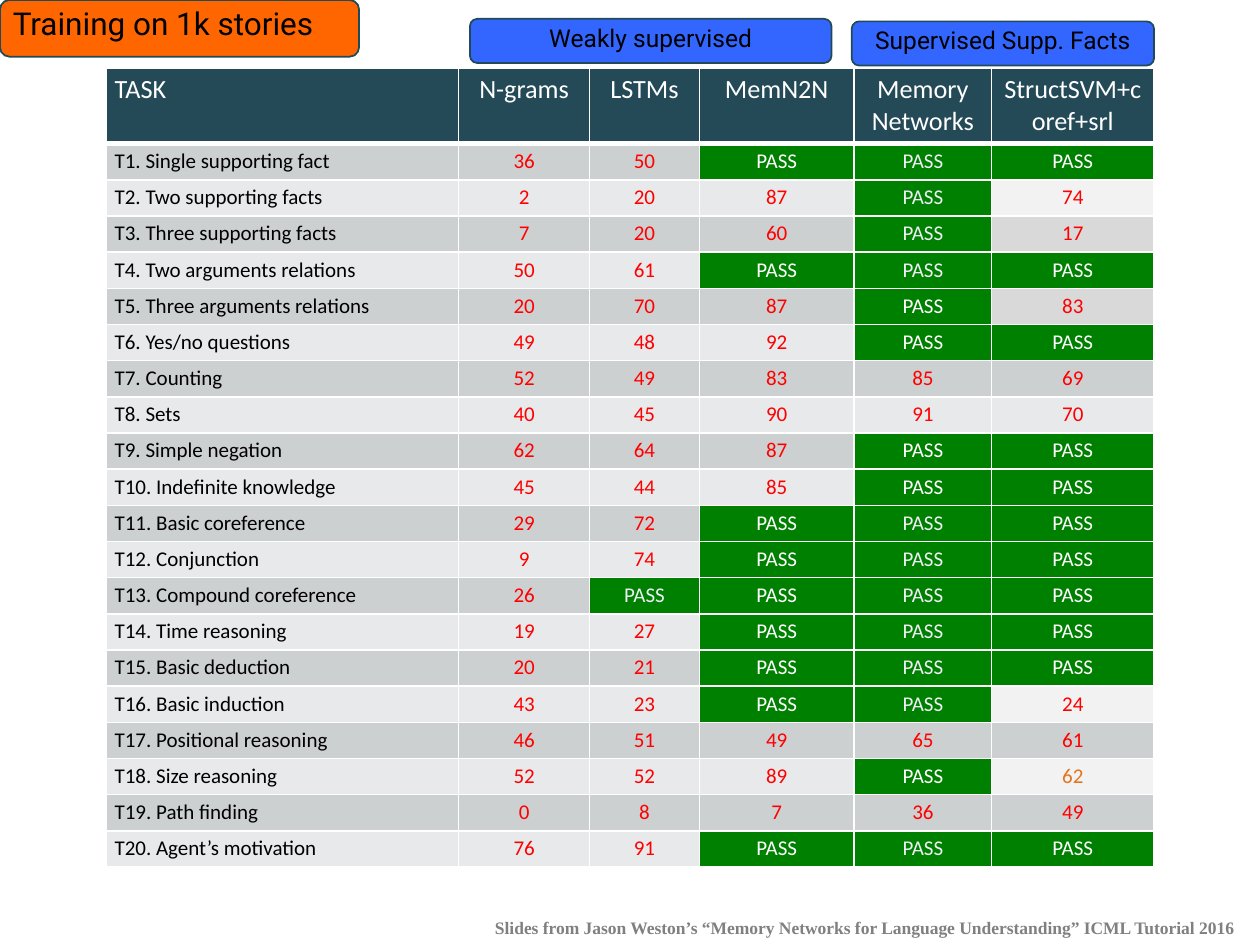
from lxml.etree import SubElement
from pptx import Presentation
from pptx.dml.color import RGBColor
from pptx.enum.shapes import MSO_SHAPE
from pptx.enum.text import PP_ALIGN
from pptx.oxml import parse_xml
from pptx.oxml.ns import nsdecls, qn
from pptx.util import Inches, Pt

HUES = {
    "head": "244A58", "odd": "CDD0D1", "even": "E8E9EA", "pass": "008000",
    "odd grey": "D9D9D9", "even grey": "F2F2F2", "white": "FFFFFF",
    "soft": "EDEFF4", "black": "000000", "red": "FF0000", "amber": "E2751D",
    "blue": "3366FF", "orange": "FF6600", "edge": "224957", "note": "808080",
}
HUES = {name: RGBColor.from_string(code) for name, code in HUES.items()}
WIDE, HIGH = Inches(10), Inches(7.5)

deck = Presentation()
deck.slide_width, deck.slide_height = WIDE, HIGH
slide = deck.slides.add_slide(deck.slide_layouts[6])


def area(left, top, width, height):
    """Turn percentages of the slide into lengths."""
    return [int(side * part / 100) for side, part in
            zip((WIDE, HIGH, WIDE, HIGH), (left, top, width, height))]


def write(frame, text, hue, align=PP_ALIGN.LEFT, **font):
    para = frame.paragraphs[0]
    para.alignment = align
    run = para.add_run()
    run.text = text
    run.font.color.rgb = HUES[hue]
    for key, value in font.items():
        setattr(run.font, key, value)
    return para


# Table of scores
P = "PASS"
heads = ["TASK", "N-grams", "LSTMs", "MemN2N", "Memory Networks", "StructSVM+coref+srl"]
tasks = [
    ("Single supporting fact", 36, 50, P, P, P),
    ("Two supporting facts", 2, 20, 87, P, 74),
    ("Three supporting facts", 7, 20, 60, P, 17),
    ("Two arguments relations", 50, 61, P, P, P),
    ("Three arguments relations", 20, 70, 87, P, 83),
    ("Yes/no questions", 49, 48, 92, P, P),
    ("Counting", 52, 49, 83, 85, 69),
    ("Sets", 40, 45, 90, 91, 70),
    ("Simple negation", 62, 64, 87, P, P),
    ("Indefinite knowledge", 45, 44, 85, P, P),
    ("Basic coreference", 29, 72, P, P, P),
    ("Conjunction", 9, 74, P, P, P),
    ("Compound coreference", 26, P, P, P, P),
    ("Time reasoning", 19, 27, P, P, P),
    ("Basic deduction", 20, 21, P, P, P),
    ("Basic induction", 43, 23, P, P, 24),
    ("Positional reasoning", 46, 51, 49, 65, 61),
    ("Size reasoning", 52, 52, 89, P, 62),
    ("Path finding", 0, 8, 7, 36, 49),
    ("Agent’s motivation", 76, 91, P, P, P),
]
rows = [heads] + [(f"T{num}. {name}", *marks) for num, (name, *marks) in enumerate(tasks, 1)]
spans = [28, 10.4, 8.7, 12.3, 10.9, 12.9]
tall, step = 8, 3.83
soft = {(13, 2)} | {(row, 4) for row in (1, 2, 3, 4, 11, 12, 13, 14, 15, 16, 20)}
grey = {(row, 5) for row in (2, 3, 5, 16, 18)}
amber = (18, 5)
pads = {"margin_left": Inches(0.07), "margin_right": Inches(0.07),
        "margin_top": Inches(0.04), "margin_bottom": Inches(0.04)}

grid = slide.shapes.add_table(
    len(rows), len(spans), *area(8.4, 7.2, sum(spans), tall + step * len(tasks))).table
for col, span in zip(grid.columns, spans):
    col.width = int(WIDE * span / 100)
for num, line in enumerate(grid.rows):
    line.height = int(HIGH * (step if num else tall) / 100)

for row, values in enumerate(rows):
    for col, value in enumerate(values):
        cell, spot = grid.cell(row, col), (row, col)
        fill = "odd" if row % 2 else "even"
        hue = "red" if col else "black"
        if row == 0:
            fill, hue = "head", "white"
        elif value == P:
            fill, hue = "pass", "soft" if spot in soft else "white"
        elif spot in grey:
            fill += " grey"
        if spot == amber:
            hue = "amber"
        for key, pad in pads.items():
            setattr(cell, key, pad)
        cell.fill.solid()
        cell.fill.fore_color.rgb = HUES[fill]
        write(cell.text_frame, str(value), hue,
              PP_ALIGN.CENTER if col else PP_ALIGN.LEFT,
              name="Calibri", size=Pt(12 if row else 15))
        for place, side in enumerate("LRTB"):
            thick = Pt(3 if row == 0 and side == "B" else 1)
            cell._tc.get_or_add_tcPr().insert(place, parse_xml(
                f'<a:ln{side} {nsdecls("a")} w="{thick}"><a:solidFill>'
                f'<a:srgbClr val="{HUES["white"]}"/></a:solidFill></a:ln{side}>'))

# Labels above the table
labels = [
    ("Weakly supervised", (37.3, 2, 28.7, 4.67), "blue", 14, PP_ALIGN.CENTER),
    ("Training on 1k stories", (0, 0, 28.5, 6), "orange", 18, PP_ALIGN.LEFT),
    ("Supervised Supp. Facts", (67.6, 2.27, 24, 4.67), "blue", 14, PP_ALIGN.CENTER),
]
inset = {"margin_left": Inches(0.08), "margin_right": Inches(0.08),
         "margin_top": Inches(0.04), "margin_bottom": Inches(0.04),
         "vertical_anchor": 1, "word_wrap": True}
for text, place, fill, size, align in labels:
    label = slide.shapes.add_shape(MSO_SHAPE.ROUNDED_RECTANGLE, *area(*place))
    label.shadow.inherit = False
    label.fill.solid()
    label.fill.fore_color.rgb = HUES[fill]
    label.line.color.rgb = HUES["edge"]
    label.line.width = Pt(1)
    SubElement(label.line._get_or_add_ln(), qn("a:headEnd"), type="arrow")
    for key, value in inset.items():
        setattr(label.text_frame, key, value)
    para = write(label.text_frame, text, "black", align, name="Roboto", size=Pt(size))
    para.line_spacing = 0.9

# Credit line
credit = slide.shapes.add_textbox(*area(38.3, 96.4, 61.7, 3.6)).text_frame
credit.word_wrap = True
write(credit,
      "Slides from Jason Weston’s “Memory Networks for Language Understanding” ICML Tutorial 2016",
      "note", name="Times New Roman", size=Pt(10), bold=True)

deck.save("out.pptx")
